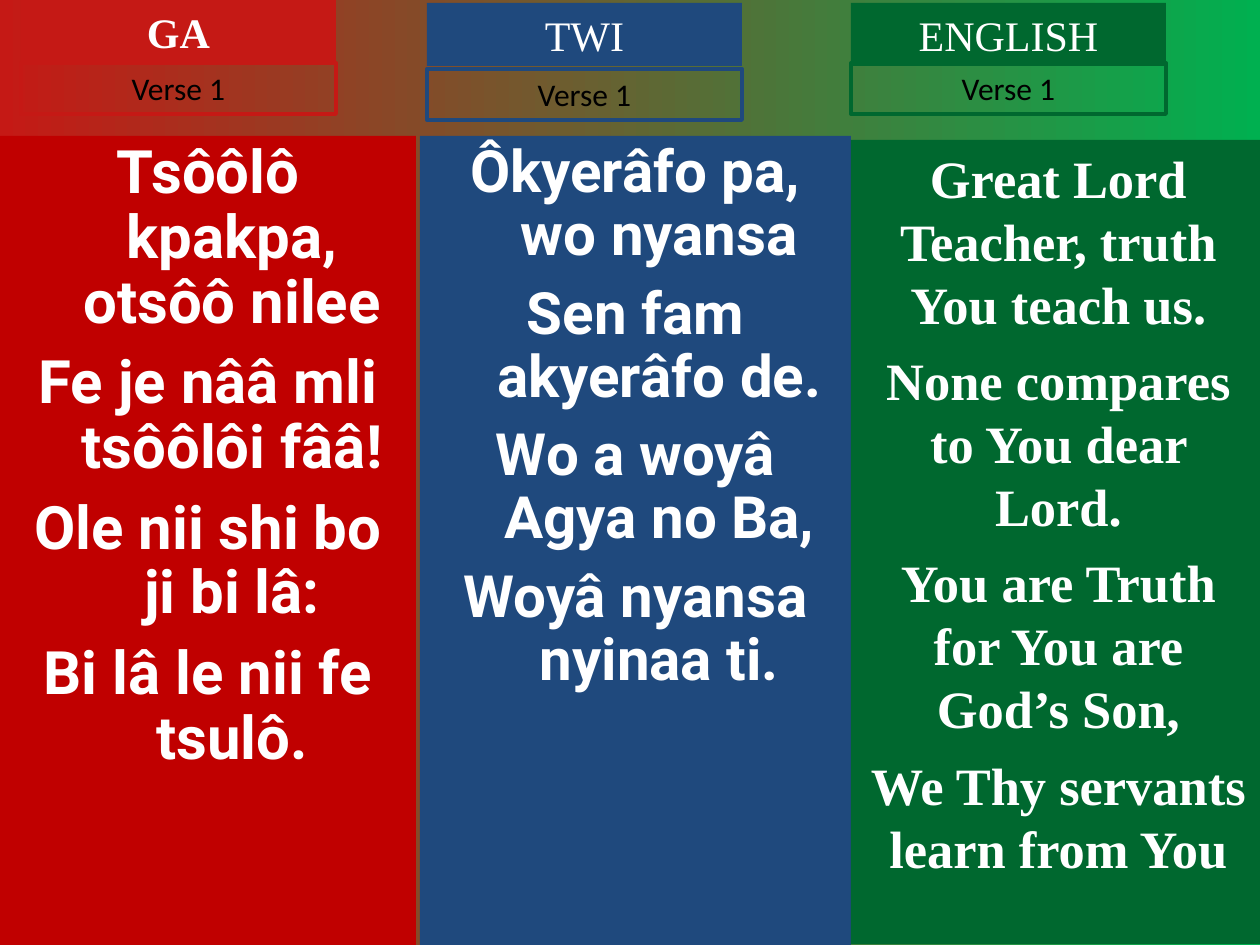
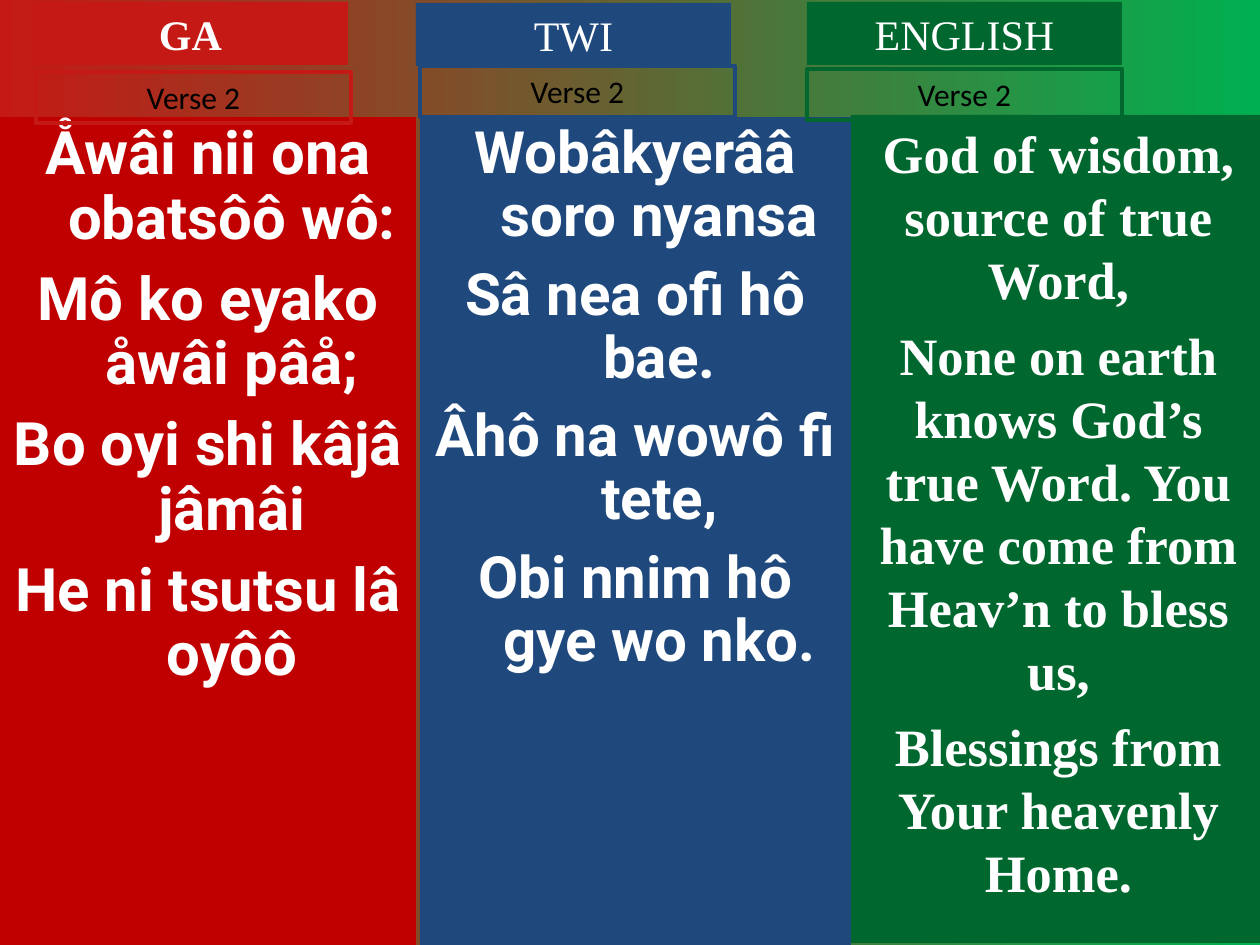
from pptx import Presentation
from pptx.dml.color import RGBColor
from pptx.enum.shapes import MSO_SHAPE
from pptx.enum.text import MSO_ANCHOR, MSO_AUTO_SIZE, PP_ALIGN
from pptx.util import Pt

RECT = MSO_SHAPE.RECTANGLE
TOP = MSO_ANCHOR.TOP
GROW = MSO_AUTO_SIZE.SHAPE_TO_FIT_TEXT
CENTER = PP_ALIGN.CENTER

RED = RGBColor(0xC5, 0x19, 0x15)
DARK_RED = RGBColor(0xC0, 0x00, 0x00)
BLUE = RGBColor(0x1F, 0x49, 0x7D)
GREEN = RGBColor(0x00, 0x68, 0x2F)
BRIGHT_GREEN = RGBColor(0x00, 0xB0, 0x50)
WHITE = RGBColor(0xFF, 0xFF, 0xFF)
BLACK = RGBColor(0x00, 0x00, 0x00)

SERIF, SANS, LYRIC = "Times New Roman", "Calibri", "Roboto"
EMU_PER_PX = 914400 / 126
TAG_W, NAME_H, VERSE_H = 315, 63, 51
HANG = 48

# Language columns: name, tag colour, name bold, panel colour, panel left,
# panel width, font, size, space between lines of verse, line spacing, hanging
COLUMNS = [
    ("GA", RED, True, DARK_RED, 0, 416, LYRIC, 34.2, 9.2, 0.9, HANG),
    ("TWI", BLUE, False, BLUE, 420, 431, LYRIC, 33.3, 9, 0.9, HANG),
    ("ENGLISH", GREEN, False, GREEN, 851, 415, SERIF, 30, 7.5, 1.0, 0),
]

# Per column: panel top and height, name left and top, verse left and top, lyrics
VERSES = [
    ("Verse 1", [
        ((136, 809), (21, 0), (21, 63),
         ["Tsôôlô kpakpa, otsôô nilee", "Fe je nââ mli tsôôlôi fââ!",
          "Ole nii shi bo ji bi lâ:", "Bi lâ le nii fe tsulô."]),
        ((136, 809), (427, 3), (427, 69),
         ["Ôkyerâfo pa, wo nyansa", "Sen fam akyerâfo de.",
          "Wo a woyâ Agya no Ba,", "Woyâ nyansa nyinaa ti."]),
        ((140, 804), (851, 3), (851, 63),
         ["Great Lord Teacher, truth You teach us.",
          "None compares to You dear Lord.",
          "You are Truth for You are God’s Son,",
          "We Thy servants learn from You"]),
    ]),
    ("Verse 2", [
        ((117, 828), (33, 2), (36, 72),
         ["Åwâi nii ona obatsôô wô:", "Mô ko eyako åwâi pâå;",
          "Bo oyi shi kâjâ jâmâi", "He ni tsutsu lâ oyôô"]),
        ((117, 828), (416, 3), (420, 66),
         ["Wobâkyerââ soro nyansa", "Sâ nea ofi hô bae.",
          "Âhô na wowô fi tete,", "Obi nnim hô gye wo nko."]),
        ((115, 828), (807, 2), (807, 69),
         ["God of wisdom, source of true Word,",
          "None on earth knows God’s true Word. You have come from "
          "Heav’n to bless us,",
          "Blessings from Your heavenly Home."]),
    ]),
]


def px(n):
    return round(n * EMU_PER_PX)


def add_background(slide):
    fill = slide.background.fill
    fill.gradient()
    fill.gradient_angle = 0
    for stop, color, position in zip(fill.gradient_stops, (RED, BRIGHT_GREEN), (0, 1)):
        stop.color.rgb = color
        stop.position = position


def add_box(slide, left, top, width, height, fill=None, line=None):
    sp = slide.shapes.add_shape(RECT, px(left), px(top), px(width), px(height))
    sp.shadow.inherit = False
    if fill is None:
        sp.fill.background()
    else:
        sp.fill.solid()
        sp.fill.fore_color.rgb = fill
    if line is None:
        sp.line.fill.background()
    else:
        sp.line.color.rgb = line
        sp.line.width = Pt(2.25)
    sp.text_frame.word_wrap = True
    sp.text_frame.vertical_anchor = TOP
    return sp


def write(p, text, font, size, color, bold=False):
    p.text = text
    p.alignment = CENTER
    p.font.name = font
    p.font.size = Pt(size)
    p.font.color.rgb = color
    p.font.bold = bold


def add_tag(slide, at, height, text, font, size, color, bold=False, **look):
    tf = add_box(slide, *at, TAG_W, height, **look).text_frame
    tf.auto_size = GROW
    write(tf.paragraphs[0], text, font, size, color, bold)


def add_lyrics(slide, box, fill, lines, font, size, gap, spacing, hang):
    tf = add_box(slide, *box, fill=fill).text_frame
    for i, line in enumerate(lines):
        p = tf.add_paragraph() if i else tf.paragraphs[0]
        write(p, line, font, size, WHITE, bold=True)
        p.line_spacing = spacing
        p.space_before = Pt(gap if i else 0)
        if hang:
            pPr = p._p.get_or_add_pPr()
            pPr.set("marL", str(px(hang)))
            pPr.set("indent", str(-px(hang)))


def add_verse_slide(prs, verse, parts):
    slide = prs.slides.add_slide(prs.slide_layouts[6])
    add_background(slide)
    for column, part in zip(COLUMNS, parts):
        name, color, bold, panel, left, width, *style = column
        (top, height), name_at, verse_at, lines = part
        # Lyrics panel, then the language and verse tags above it
        add_lyrics(slide, (left, top, width, height), panel, lines, *style)
        add_tag(slide, name_at, NAME_H, name, SERIF, 24, WHITE, bold, fill=color)
        add_tag(slide, verse_at, VERSE_H, verse, SANS, 18, BLACK, line=color)


def main():
    prs = Presentation()
    prs.slide_width, prs.slide_height = px(1260), px(945)
    for verse, parts in VERSES:
        add_verse_slide(prs, verse, parts)
    prs.save("out.pptx")


if __name__ == "__main__":
    main()
